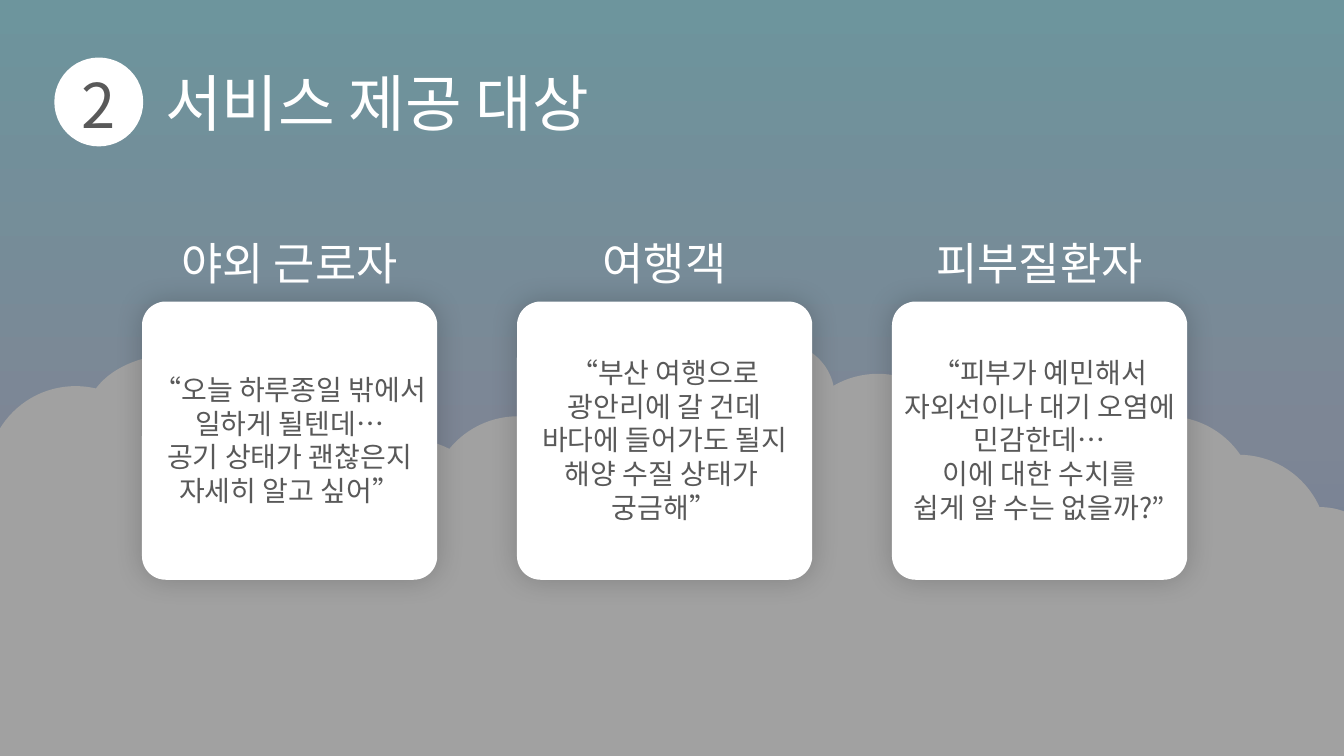
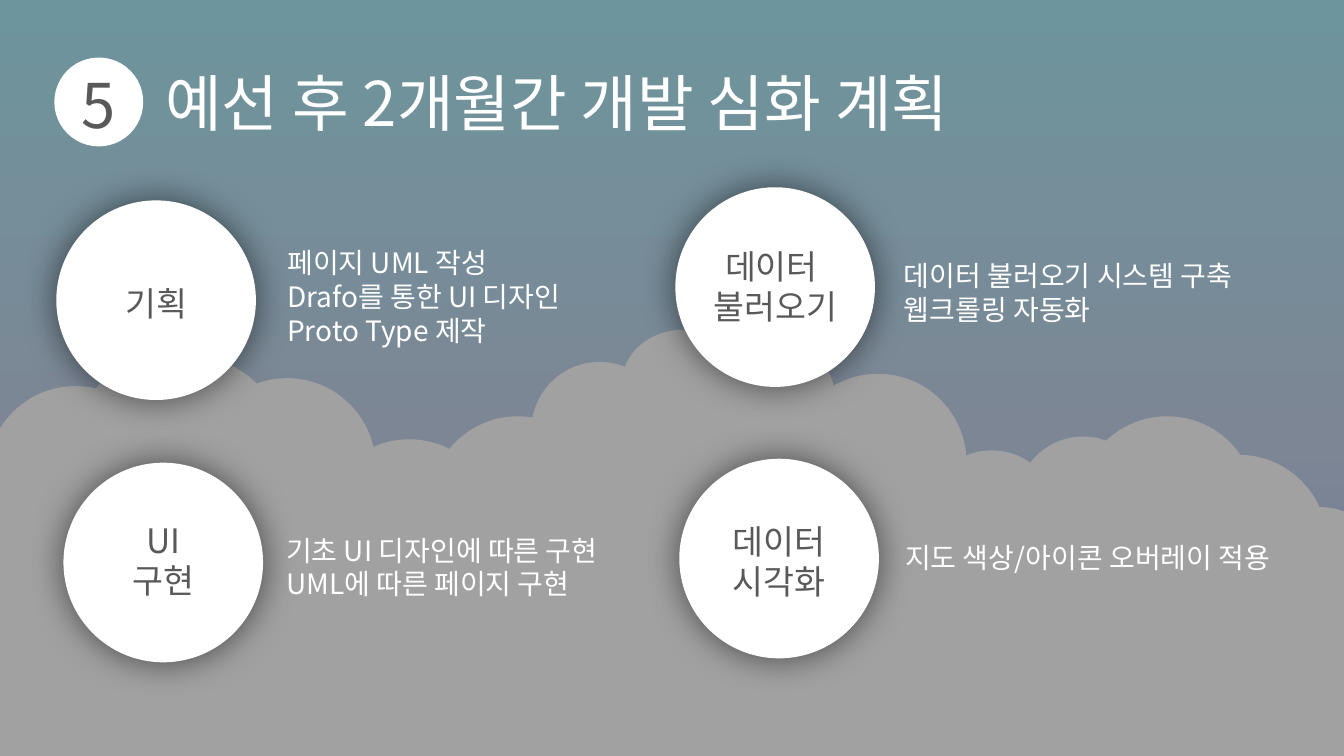
from dataclasses import dataclass

from lxml.etree import SubElement
from pptx import Presentation
from pptx.dml.color import RGBColor
from pptx.enum.shapes import MSO_SHAPE
from pptx.enum.text import MSO_AUTO_SIZE, PP_ALIGN
from pptx.oxml.ns import qn
from pptx.util import Cm, Pt

# Shared look
FONT = "Noto Sans CJK KR"
WHITE, INK, BLACK = "FFFFFF", "595959", "000000"
SKY = [(0, "ADECF9"), (58, "C7D5ED"), (100, "ABC0E4")]
SLIDE_W, SLIDE_H = 33.87, 19.05
VEIL_ALPHA = 37


@dataclass(frozen=True)
class Box:
    left: float
    top: float
    width: float
    height: float


@dataclass(frozen=True)
class Glow:
    blur: float
    alpha: float


@dataclass(frozen=True)
class Audience:
    heading: str
    quote: list[str]


@dataclass(frozen=True)
class Step:
    left: float
    top: float
    label_top: float
    label: list[str]
    detail_left: float
    detail_top: float
    detail_width: float
    detail: list[str]


def puff(left: float, top: float, size: float = 4.47) -> Box:
    return Box(left, top, size, size)


# Cloud parts
CLOUD_PUFFS = [
    Box(18.11, 8.61, 2.92, 2.72), Box(2.18, 8.92, 4.62, 3.12),
    puff(8.08, 11.07), puff(10.82, 10.49), puff(19.89, 9.42), puff(-0.33, 9.73),
    puff(23.32, 11.35, 3.35), puff(25.15, 12.57, 3.35), puff(27.18, 10.49),
    puff(31.62, 12.78, 3.33), puff(28.98, 11.46),
]
EXTRA_PUFFS = [
    Box(15.67, 8.31, 3.1, 2.72), puff(5, 9.53),
    puff(13.39, 9.12, 3.45), puff(25.63, 11, 3.33),
]
CLOUD_BASES = [
    Box(0, 11.46, 21.79, 7.59), Box(16.31, 10.24, 4.09, 4.85),
    Box(21.46, 13.03, 12.41, 6.02),
]

# Content
AUDIENCES = [
    Audience("야외 근로자", ["“오늘 하루종일 밖에서", "일하게 될텐데…",
                        "공기 상태가 괜찮은지", "자세히 알고 싶어”"]),
    Audience("여행객", ["“부산 여행으로", "광안리에 갈 건데", "바다에 들어가도 될지",
                     "해양 수질 상태가 ", "궁금해”"]),
    Audience("피부질환자", ["“피부가 예민해서", "자외선이나 대기 오염에", "민감한데…",
                       "이에 대한 수치를", "쉽게 알 수는 없을까?”"]),
]
STEPS = [
    Step(1.42, 5.05, 7.01, ["기획"], 6.99, 6.07, 9.17,
         ["페이지 UML 작성", "Drafo를 통한 UI 디자인", "Proto Type 제작"]),
    Step(1.6, 11.66, 12.98, ["UI", "구현"], 6.96, 13.31, 9.96,
         ["기초 UI 디자인에 따른 구현", "UML에 따른 페이지 구현"]),
    Step(17.02, 4.72, 6.07, ["데이터 ", "불러오기"], 22.53, 6.4, 9.96,
         ["데이터 불러오기 시스템 구축", "웹크롤링 자동화"]),
    Step(17.12, 11.56, 13, ["데이터", "시각화"], 22.56, 13.49, 10.26,
         ["지도 색상/아이콘 오버레이 적용"]),
]


def rgb(value: str) -> RGBColor:
    return RGBColor.from_string(value)


def add_colour(parent, value: str, alpha: float | None = None) -> None:
    colour = SubElement(parent, qn("a:srgbClr"), val=value)
    if alpha is not None:
        SubElement(colour, qn("a:alpha"), val=str(int(alpha * 1000)))


def paint_sky(slide) -> None:
    fill = slide.background.fill
    fill.gradient()
    fill.gradient_angle = 270
    stops = slide.element.find(".//" + qn("a:gsLst"))
    for old_stop in list(stops):
        stops.remove(old_stop)
    for position, colour in SKY:
        add_colour(SubElement(stops, qn("a:gs"), pos=str(position * 1000)), colour)


def add_panel(shapes, kind: MSO_SHAPE, box: Box, colour: str = WHITE,
              glow: Glow | None = None):
    panel = shapes.add_shape(kind, Cm(box.left), Cm(box.top), Cm(box.width), Cm(box.height))
    panel.fill.solid()
    panel.fill.fore_color.rgb = rgb(colour)
    panel.line.fill.background()
    panel.shadow.inherit = False
    if glow:
        effects = panel.element.spPr.find(qn("a:effectLst"))
        shadow = SubElement(effects, qn("a:outerShdw"), blurRad=str(Pt(glow.blur)),
                            dist="0", dir="0", algn="ctr", rotWithShape="0")
        add_colour(shadow, BLACK, glow.alpha)
    return panel


def text_height(lines: list[str], size: float) -> float:
    return 0.28 + len(lines) * size * 0.0425


def add_lines(slide, left: float, top: float, width: float, lines: list[str], size: float,
              colour: str = WHITE, align: PP_ALIGN = PP_ALIGN.LEFT) -> None:
    height = text_height(lines, size)
    frame = slide.shapes.add_textbox(Cm(left), Cm(top), Cm(width), Cm(height)).text_frame
    frame.word_wrap = True
    frame.auto_size = MSO_AUTO_SIZE.SHAPE_TO_FIT_TEXT
    frame.text = "\n".join(lines)
    for paragraph in frame.paragraphs:
        paragraph.alignment = align
        paragraph.font.size = Pt(size)
        paragraph.font.color.rgb = rgb(colour)
        paragraph.font.name = FONT
        # Hangul takes the East Asian typeface
        defaults = paragraph._p.pPr.find(qn("a:defRPr"))
        SubElement(defaults, qn("a:ea"), typeface=FONT)


def add_base_slide(deck, number: str, title: str, puffs: list[Box]):
    slide = deck.slides.add_slide(deck.slide_layouts[6])
    paint_sky(slide)

    # Clouds under a dark veil
    clouds = slide.shapes.add_group_shape()
    for box in puffs:
        add_panel(clouds.shapes, MSO_SHAPE.OVAL, box)
    for box in CLOUD_BASES:
        add_panel(clouds.shapes, MSO_SHAPE.RECTANGLE, box)
    veil = add_panel(slide.shapes, MSO_SHAPE.RECTANGLE, Box(0, 0, SLIDE_W, SLIDE_H), BLACK)
    veil_colour = veil.element.spPr.find(".//" + qn("a:srgbClr"))
    SubElement(veil_colour, qn("a:alpha"), val=str(VEIL_ALPHA * 1000))

    # Title and section number
    add_lines(slide, 3.91, 1.5, 28.8, [title], 44)
    add_panel(slide.shapes, MSO_SHAPE.OVAL, puff(1.37, 1.45, 2.24))
    add_lines(slide, 1.57, 1.55, 1.83, [number], 44, INK, PP_ALIGN.CENTER)
    return slide


def build_audience_slide(deck) -> None:
    slide = add_base_slide(deck, "2", "서비스 제공 대상", CLOUD_PUFFS)
    first_left, top, width, height, pitch = 3.58, 7.6, 7.44, 7.01, 9.45
    for index, audience in enumerate(AUDIENCES):
        left = first_left + index * pitch
        add_lines(slide, left + 0.36, 5.82, width - 0.72, [audience.heading], 32,
                  align=PP_ALIGN.CENTER)
        card = add_panel(slide.shapes, MSO_SHAPE.ROUNDED_RECTANGLE,
                         Box(left, top, width, height), glow=Glow(20, 20))
        card.adjustments[0] = 0.085
        quote_top = top + (height - text_height(audience.quote, 20)) / 2
        add_lines(slide, left - 0.17, quote_top, width + 0.34, audience.quote, 20, INK,
                  PP_ALIGN.CENTER)


def build_plan_slide(deck) -> None:
    slide = add_base_slide(deck, "5", "예선 후 2개월간 개발 심화 계획",
                           CLOUD_PUFFS + EXTRA_PUFFS)
    diameter = 5.03
    for step in STEPS:
        add_panel(slide.shapes, MSO_SHAPE.OVAL, puff(step.left, step.top, diameter),
                  glow=Glow(25, 55))
        add_lines(slide, step.left - 0.19, step.label_top, diameter + 0.38, step.label, 24,
                  INK, PP_ALIGN.CENTER)
        add_lines(slide, step.detail_left, step.detail_top, step.detail_width,
                  step.detail, 20)


def main() -> None:
    deck = Presentation()
    deck.slide_width, deck.slide_height = Cm(SLIDE_W), Cm(SLIDE_H)
    build_audience_slide(deck)
    build_plan_slide(deck)
    deck.save("out.pptx")


if __name__ == "__main__":
    main()
